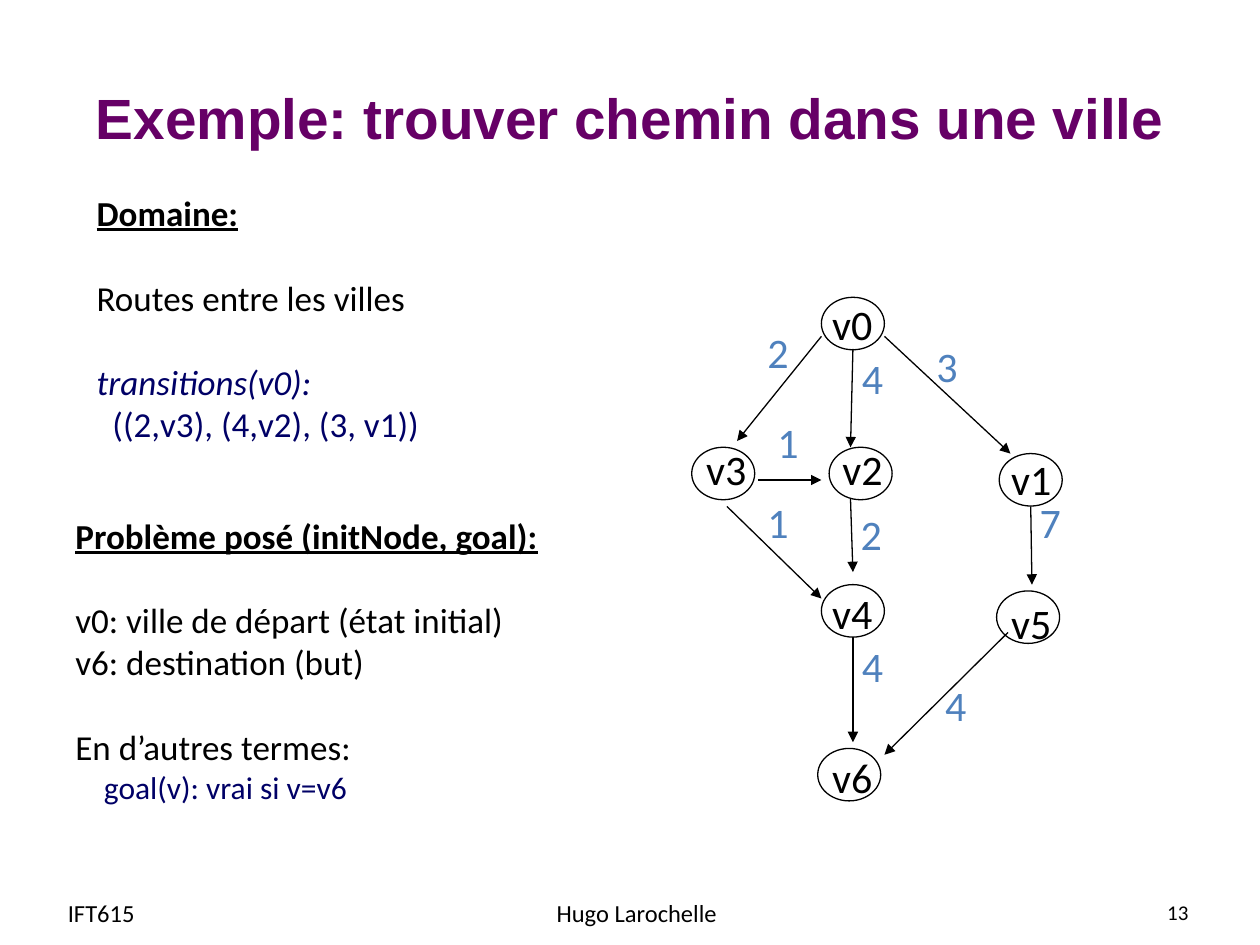
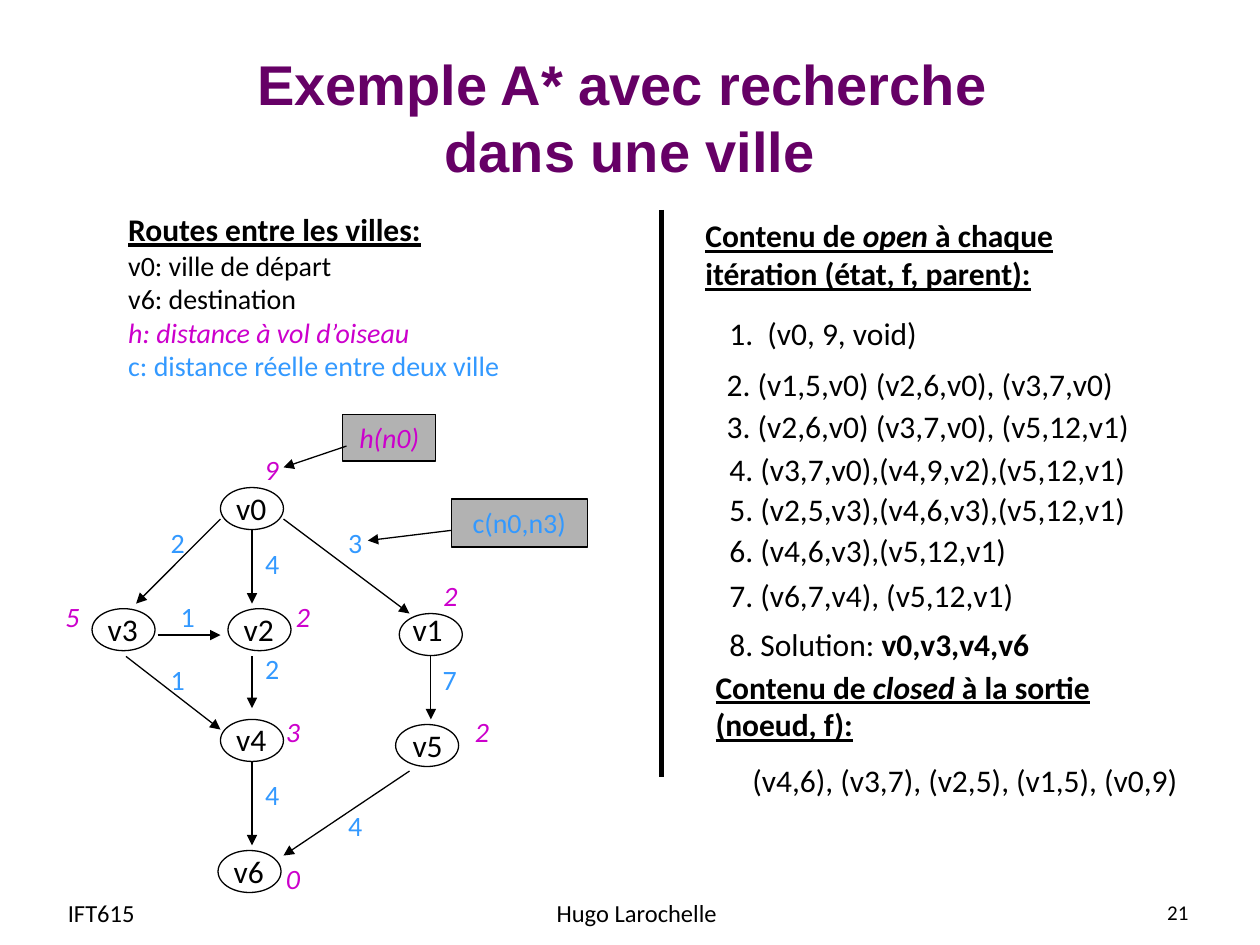
from dataclasses import dataclass
from typing import NamedTuple

from lxml.etree import SubElement
from pptx import Presentation
from pptx.dml.color import RGBColor
from pptx.enum.shapes import MSO_CONNECTOR, MSO_SHAPE
from pptx.enum.text import MSO_ANCHOR, MSO_AUTO_SIZE, PP_ALIGN
from pptx.oxml.ns import qn
from pptx.util import Pt

BLACK, PURPLE, NAVY = "000000", "660066", "000066"
MAGENTA, SKY, STEEL, GRAY = "CC00CC", "3399FF", "4F81BD", "B2B2B2"
BODY_FONT, TITLE_FONT = "Calibri", "Arial"
LEFT, CENTER, RIGHT = PP_ALIGN.LEFT, PP_ALIGN.CENTER, PP_ALIGN.RIGHT
NODE_W = 36


class Box(NamedTuple):
    x: float
    y: float
    w: float
    h: float


class Run(NamedTuple):
    text: str
    size: float = 18
    color: str = BLACK
    bold: bool = False
    italic: bool = False
    underline: bool = False


class Para(NamedTuple):
    runs: list[Run]
    before: float = 0
    indent: float = 0


class Node(NamedTuple):
    name: str
    x: float
    y: float
    label_dx: float = 1.4
    label_dy: float = -2.9


class Road(NamedTuple):
    x1: float
    y1: float
    x2: float
    y2: float
    cost: str
    cost_x: float
    cost_y: float


class Mark(NamedTuple):
    text: str
    x: float
    y: float


class Callout(NamedTuple):
    run: Run
    box: Box
    arrow: tuple[float, float, float, float]


@dataclass(frozen=True)
class GraphStyle:
    node_h: float
    label_size: float
    label_w: float
    label_h: float
    cost_size: float
    cost_w: float
    cost_h: float
    cost_color: str


# Shared drawing functions
def rgb(color: str) -> RGBColor:
    return RGBColor.from_string(color)


def points(values) -> list[Pt]:
    return [Pt(v) for v in values]


def format_run(r, run: Run, font: str = BODY_FONT) -> None:
    r.font.name, r.font.size = font, Pt(run.size)
    r.font.color.rgb = rgb(run.color)
    r.font.bold, r.font.italic, r.font.underline = run.bold, run.italic, run.underline


def fill_text(tf, paras: list[Para], align=LEFT, wrap=True, anchor=MSO_ANCHOR.TOP) -> None:
    tf.word_wrap, tf.vertical_anchor = wrap, anchor
    tf.auto_size = MSO_AUTO_SIZE.NONE
    for i, para in enumerate(paras):
        p = tf.paragraphs[0] if i == 0 else tf.add_paragraph()
        p.alignment, p.space_before = align, Pt(para.before)
        if para.indent:
            p._p.get_or_add_pPr().set("marL", str(Pt(para.indent)))
        for run in para.runs:
            r = p.add_run()
            r.text = run.text
            format_run(r, run)


def add_text(s, box: Box, paras: list[Para], **options) -> None:
    fill_text(s.shapes.add_textbox(*points(box)).text_frame, paras, **options)


def add_label(s, box: Box, run: Run) -> None:
    add_text(s, box, [Para([run])], align=CENTER, wrap=False)


def add_outline(s, kind, box: Box, fill: str | None = None):
    sp = s.shapes.add_shape(kind, *points(box))
    sp.shadow.inherit = False
    if fill:
        sp.fill.solid()
        sp.fill.fore_color.rgb = rgb(fill)
    else:
        sp.fill.background()
    sp.line.color.rgb, sp.line.width = rgb(BLACK), Pt(0.75)
    return sp


def add_line(s, x1: float, y1: float, x2: float, y2: float,
             width: float = 0.75, arrow: bool = True) -> None:
    c = s.shapes.add_connector(MSO_CONNECTOR.STRAIGHT, *points((x1, y1, x2, y2)))
    c.line.color.rgb, c.line.width = rgb(BLACK), Pt(width)
    spPr = c._element.spPr
    if arrow:
        SubElement(spPr.find(qn("a:ln")), qn("a:tailEnd"), type="triangle")
    SubElement(spPr, qn("a:effectLst"))


def add_graph(s, nodes: list[Node], roads: list[Road], style: GraphStyle) -> None:
    for n in nodes:
        add_outline(s, MSO_SHAPE.OVAL, Box(n.x, n.y, NODE_W, style.node_h))
        add_label(s, Box(n.x + n.label_dx, n.y + n.label_dy, style.label_w, style.label_h),
                  Run(n.name, style.label_size))
    for road in roads:
        add_line(s, road.x1, road.y1, road.x2, road.y2)
        add_label(s, Box(road.cost_x, road.cost_y, style.cost_w, style.cost_h),
                  Run(road.cost, style.cost_size, style.cost_color))


def add_slide(prs, title: str, title_size: float, number: str):
    s = prs.slides.add_slide(prs.slide_layouts[5])
    sp = s.shapes.title
    sp.left, sp.top, sp.width, sp.height = points((36, 21.6, 648, 90))
    tf = sp.text_frame
    tf.text = title
    tf.auto_size, tf.vertical_anchor = MSO_AUTO_SIZE.NONE, MSO_ANCHOR.MIDDLE
    p = tf.paragraphs[0]
    p.alignment = CENTER
    for r in p.runs:
        format_run(r, Run(r.text, title_size, PURPLE, bold=True), TITLE_FONT)
    footers = [("IFT615", 14, 31.7, 139, LEFT),
               ("Hugo Larochelle", 14, 249.8, 228.2, CENTER),
               (number, 12, 518.4, 167.8, RIGHT)]
    for text, size, x, w, align in footers:
        add_text(s, Box(x, 506.9, w, 28.8), [Para([Run(text, size)])],
                 align=align, anchor=MSO_ANCHOR.MIDDLE)
    return s


def heading(text: str, size: float = 18, italic: bool = False) -> Run:
    return Run(text, size, bold=True, italic=italic, underline=True)


# Slide 1: the road graph and the problem
def city_slide(prs) -> None:
    s = add_slide(prs, "Exemple: trouver chemin dans une ville", 32.4, "13")
    nodes = [
        Node("v0", 469.4, 169.9, -1.4, -2.9),
        Node("v3", 395.3, 255.6, 0.7, -5.8),
        Node("v2", 473.8, 255.6, 0, -5.8),
        Node("v1", 571, 259.2, -0.8, -3.6),
        Node("v4", 469.4, 334.1, -1.4, -2.2),
        Node("v6", 467.3, 427.7, 0.7, -1.5),
        Node("v5", 569.5, 337.7, 0.7, 0),
    ]
    roads = [
        Road(487.4, 199.4, 486, 255.6, "4", 485.3, 198),
        Road(505.4, 192.2, 577.4, 259.2, "3", 527.8, 190.8),
        Road(469.4, 192.2, 421.2, 252, "2", 431.3, 182.9),
        Road(433.4, 274.3, 469.4, 274.3, "1", 437, 234.7),
        Road(415.4, 289.4, 469.4, 342, "1", 431.3, 280.1),
        Road(486, 285.1, 487.4, 326.9, "2", 484.6, 287.3),
        Road(487.4, 364.3, 487.4, 424.1, "4", 485.3, 362.2),
        Road(589, 289.4, 589.7, 334.1, "7", 586.8, 280.1),
        Road(576, 361.4, 505.4, 431.3, "4", 532.8, 384.5),
    ]
    add_graph(s, nodes, roads, GraphStyle(30, 24, 38.2, 36, 24, 26.6, 36, STEEL))

    gap = 24.4  # one line of 20-point text
    add_text(s, Box(48.2, 105.8, 288, 175), [
        Para([heading("Domaine:", 20)]),
        Para([Run("Routes entre les villes", 20)], gap),
        Para([Run("transitions(v0):", 20, NAVY, italic=True)], gap),
        Para([Run("((2,v3), (4,v2), (3, v1))", 20, NAVY)], indent=9),
    ])
    add_text(s, Box(36, 290.2, 318.2, 177.1), [
        Para([heading("Problème posé (initNode, goal):", 20)]),
        Para([Run("v0: ville de départ (état initial)", 20)], gap),
        Para([Run("v6: destination (but)", 20)]),
        Para([Run("En d’autres termes:", 20)], gap),
        Para([Run("goal(v): vrai si v=v6", 18, NAVY)], indent=16.3),
    ])


# Slide 2: A* on the same cities
def a_star_slide(prs) -> None:
    s = add_slide(prs, "Exemple A* avec recherche \vdans une ville", 32, "21")
    add_line(s, 378, 120, 378, 444, width=3, arrow=False)
    nodes = [
        Node("v0", 126, 278.6),
        Node("v3", 52.6, 347.8),
        Node("v2", 130.3, 347.8),
        Node("v1", 228.2, 350.6, 0, -5.7),
        Node("v4", 126, 411.1),
        Node("v6", 124.6, 486),
        Node("v5", 226.1, 414, 2.1),
    ]
    roads = [
        Road(144, 303.1, 144, 344.9, "4", 144, 308.9),
        Road(162, 296.6, 234, 350.6, "3", 191.5, 296.6),
        Road(126, 296.6, 77.8, 344.9, "2", 90, 296.6),
        Road(90, 362.9, 126, 362.9, "1", 95.8, 339.1),
        Road(72, 375.1, 126, 416.9, "1", 90, 375.1),
        Road(144, 375.1, 144, 404.6, "2", 144, 368.6),
        Road(144, 434.9, 144, 483.1, "4", 144, 440.6),
        Road(246.2, 375.1, 246.2, 411.1, "7", 245.5, 375.1),
        Road(234, 440.6, 162, 488.9, "4", 191.5, 458.6),
    ]
    add_graph(s, nodes, roads, GraphStyle(24, 18, 32.4, 28.8, 16, 23, 26.6, SKY))

    # Heuristic values beside the nodes
    heuristics = [
        Mark("9", 141.8, 254.9), Mark("2", 244.1, 326.9), Mark("3", 154.1, 404.6),
        Mark("2", 262.1, 404.6), Mark("2", 159.8, 339.1), Mark("5", 28.1, 339.1),
        Mark("0", 154.1, 488.9),
    ]
    for m in heuristics:
        add_label(s, Box(m.x, m.y, 26.6, 26.6), Run(m.text, 16, MAGENTA, italic=True))

    # Callouts for h and c
    callouts = [
        Callout(Run("h(n0)", 16, MAGENTA, italic=True), Box(195.8, 236.9, 53.3, 26.6),
                (198, 254.9, 162, 267.1)),
        Callout(Run("c(n0,n3)", 16, SKY), Box(257.8, 285.1, 77.8, 27.4),
                (257.8, 303.1, 210.2, 308.9)),
    ]
    for callout in callouts:
        sp = add_outline(s, MSO_SHAPE.RECTANGLE, callout.box, GRAY)
        fill_text(sp.text_frame, [Para([callout.run])], align=CENTER, wrap=False)
        add_line(s, *callout.arrow)

    # Legend
    add_text(s, Box(66.2, 116.6, 232.6, 106.6), [
        Para([heading("Routes entre les villes:")]),
        Para([Run("v0: ville de départ", 16)]),
        Para([Run("v6: destination", 16)]),
        Para([Run("h: distance à vol d’oiseau", 16, MAGENTA, italic=True)]),
        Para([Run("c: distance réelle entre deux ville", 16, SKY)]),
    ])

    # Contents of open and closed
    add_text(s, Box(396, 120.2, 246.2, 50.4), [Para([
        heading("Contenu de "), heading("open", italic=True),
        heading(" à chaque itération (état, f, parent):")])])
    iterations = [
        Mark("1.  (v0, 9, void)", 409.7, 175.7),
        Mark("2. (v1,5,v0) (v2,6,v0), (v3,7,v0)", 408.2, 205.2),
        Mark("3. (v2,6,v0) (v3,7,v0), (v5,12,v1)", 408.2, 229),
        Mark("4. (v3,7,v0),(v4,9,v2),(v5,12,v1)", 409.7, 253.4),
        Mark("5. (v2,5,v3),(v4,6,v3),(v5,12,v1)", 409.7, 276.5),
        Mark("6. (v4,6,v3),(v5,12,v1)", 409.7, 300.2),
        Mark("7. (v6,7,v4), (v5,12,v1)", 409.7, 325.4),
    ]
    for m in iterations:
        add_text(s, Box(m.x, m.y, 280, 28.8), [Para([Run(m.text)])])
    add_text(s, Box(409.7, 353.5, 187.9, 28.8),
             [Para([Run("8. Solution: "), Run("v0,v3,v4,v6", bold=True)])])
    add_text(s, Box(401.8, 378, 246.2, 50.4), [Para([
        heading("Contenu de"), heading(" closed", italic=True),
        heading(" à la sortie (noeud, f):")])])
    add_label(s, Box(417.6, 431.3, 267.8, 28.8),
              Run("(v4,6), (v3,7), (v2,5), (v1,5), (v0,9)"))


def main() -> None:
    prs = Presentation()
    prs.slide_width, prs.slide_height = Pt(720), Pt(540)
    city_slide(prs)
    a_star_slide(prs)
    prs.save("out.pptx")


if __name__ == "__main__":
    main()
